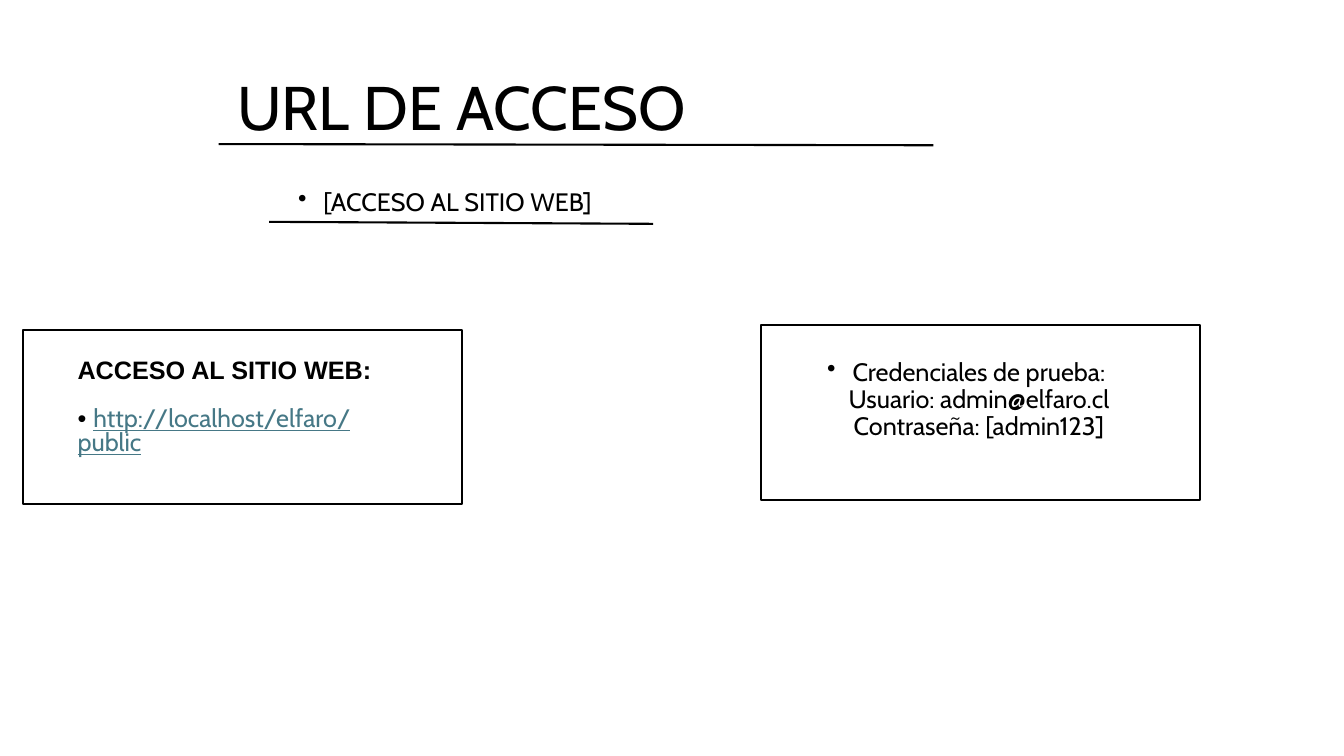
from lxml import etree
from pptx import Presentation
from pptx.dml.color import RGBColor
from pptx.enum import shapes, text
from pptx.oxml import ns
from pptx.util import Cm, Pt

HUES = {"ink": "000000", "link": "467886", "page": "FFFFFF"}
WIDE, TALL = 8.86, 2.9


def hue(key):
    return RGBColor.from_string(HUES[key])


def style(font, size, face="Cabin", key="ink", bold=False):
    font.size = Pt(size)
    font.name = face
    font.bold = bold
    font.color.rgb = hue(key)


def mark(para, char=None):
    props = para._p.get_or_add_pPr()
    pad = Cm(0.64) if char else 0
    props.set("marL", str(pad))
    props.set("indent", str(-pad))
    bullet = etree.SubElement(props, ns.qn("a:buChar" if char else "a:buNone"))
    if char:
        bullet.set("char", char)


def place(shape, x, y, w, h):
    shape.left, shape.top, shape.width, shape.height = Cm(x), Cm(y), Cm(w), Cm(h)


def rule(slide, x, y, w, drop):
    line = slide.shapes.add_connector(
        shapes.MSO_CONNECTOR.STRAIGHT, Cm(x), Cm(y), Cm(x + w), Cm(y + drop))
    line.line.color.rgb = hue("ink")
    line.line.width = Pt(1.5)
    etree.SubElement(line._element.spPr, ns.qn("a:effectLst"))


def frame(slide, x, y, w, h):
    rect = slide.shapes.add_shape(
        shapes.MSO_SHAPE.RECTANGLE, Cm(x), Cm(y), Cm(w), Cm(h))
    rect.shadow.inherit = False
    rect.fill.background()
    rect.line.color.rgb = hue("ink")
    rect.line.width = Pt(1.5)


def point(slide, words, x, y, w, h):
    box = slide.shapes.add_textbox(Cm(x), Cm(y), Cm(w), Cm(h))
    box.text_frame.word_wrap = True
    para = box.text_frame.paragraphs[0]
    para.text = words
    para.alignment = text.PP_ALIGN.CENTER
    para.line_spacing = 0.9
    mark(para, "•")
    style(para.font, 18)


def header(slide, x, y, w, h):
    title = slide.shapes.title
    place(title, x, y, w, h)
    title.text_frame.vertical_anchor = text.MSO_ANCHOR.BOTTOM
    title.text_frame.auto_size = text.MSO_AUTO_SIZE.NONE
    para = title.text_frame.paragraphs[0]
    para.text = "URL DE ACCESO"
    para.alignment = text.PP_ALIGN.LEFT
    para.line_spacing = 0.9
    style(para.font, 44)
    rule(slide, x - 0.21, y + h - 0.13, 18.01, 0.03)


def topic(slide, x, y, w, h):
    point(slide, "[ACCESO AL SITIO WEB]", x, y, w, h)
    rule(slide, x, y + 0.94, 9.68, 0.05)


def access(slide, x, y, w, h):
    frame(slide, x, y, w, h)
    body = slide.placeholders[1]
    place(body, x + 1.12, y + 0.64, WIDE, TALL)
    area = body.text_frame
    area.auto_size = text.MSO_AUTO_SIZE.NONE
    head = area.paragraphs[0]
    head.text = "ACCESO AL SITIO WEB:"
    head.space_before = Pt(0)
    link = area.add_paragraph()
    link.space_before = Pt(17)
    for para in (head, link):
        para.line_spacing = 0.8
        mark(para)
    style(head.font, 18, "Arial", bold=True)
    dot = link.add_run()
    dot.text = "•\u00a0"
    style(dot.font, 18, "Arial")
    site = link.add_run()
    site.text = "http://localhost/elfaro/public"
    style(site.font, 18, key="link")
    site.font.underline = True


def login(slide, x, y, w, h):
    frame(slide, x, y, w, h)
    point(slide, "Credenciales de prueba: Usuario: admin@elfaro.cl Contraseña: [admin123]",
          x + 0.74, y + 0.74, WIDE, TALL)


def main():
    deck = Presentation()
    deck.slide_width, deck.slide_height = Cm(33.87), Cm(19.05)
    slide = deck.slides.add_slide(deck.slide_layouts[1])
    slide.background.fill.solid()
    slide.background.fill.fore_color.rgb = hue("page")
    header(slide, 5.72, 1.02, 18.36, 2.74)
    topic(slide, 6.78, 4.65, WIDE, 1.55)
    access(slide, 0.58, 8.31, 11.07, 4.39)
    login(slide, 19.18, 8.2, 11.07, 4.39)
    deck.save("out.pptx")


if __name__ == "__main__":
    main()
